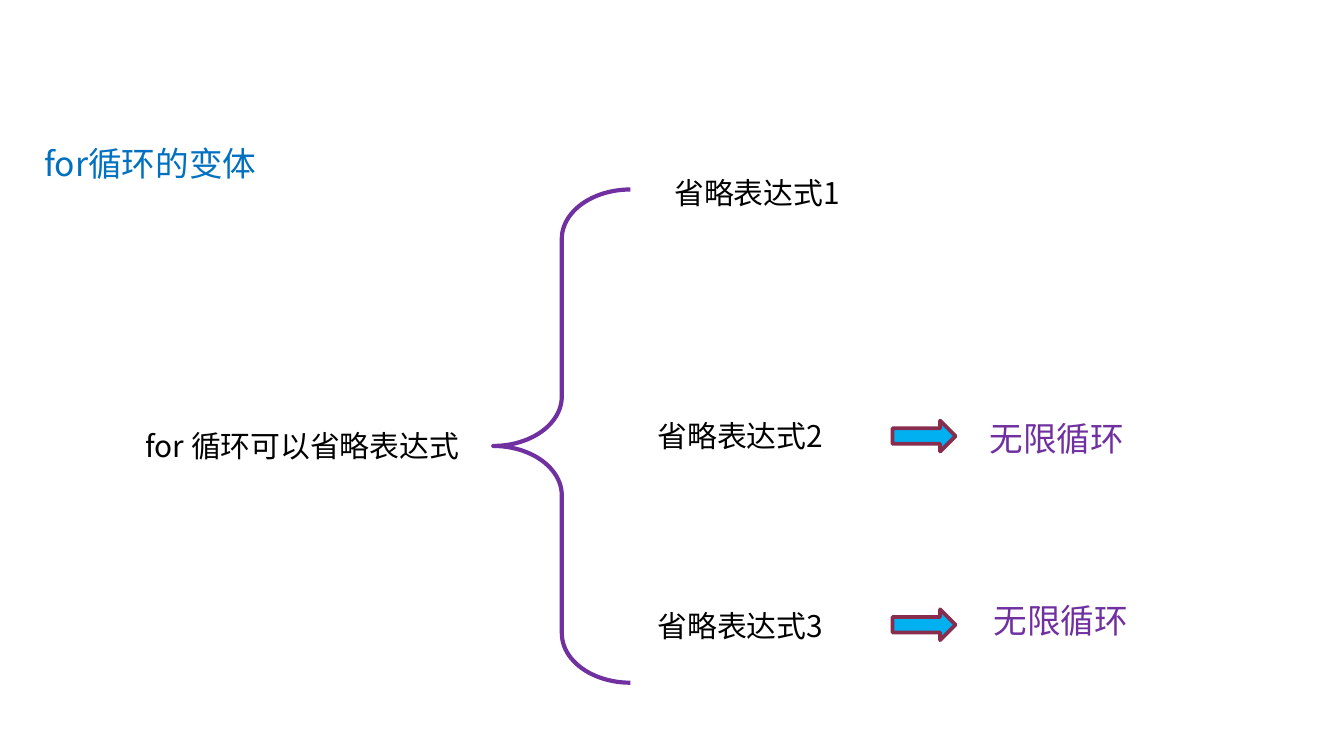
from lxml import etree
from pptx import Presentation
from pptx.dml.color import RGBColor
from pptx.enum.shapes import MSO_SHAPE
from pptx.enum.text import MSO_ANCHOR, MSO_AUTO_SIZE, PP_ALIGN
from pptx.oxml.ns import qn
from pptx.util import Inches, Pt

BRACE, ARROW = MSO_SHAPE.LEFT_BRACE, MSO_SHAPE.RIGHT_ARROW
TOP, LEFT, GROW = MSO_ANCHOR.TOP, PP_ALIGN.LEFT, MSO_AUTO_SIZE.SHAPE_TO_FIT_TEXT
FONT = "Noto Sans CJK SC"
PURPLE = "7030A0"

deck = Presentation()
deck.slide_width = Inches(10)
deck.slide_height = deck.slide_width * 9 // 16
col, row = deck.slide_width / 100, deck.slide_height / 100
slide = deck.slides.add_slide(deck.slide_layouts[5])
shapes = slide.shapes


def paint(part, color):
    if hasattr(part, "solid"):
        part.solid()
        part = part.fore_color
    part.rgb = RGBColor.from_string(color)


def write(text, x, y, wide, high=6.58, size=16, color="000000", box=None):
    area = int(x * col), int(y * row), int(wide * col), int(high * row)
    if box is None:
        box = shapes.add_textbox(*area)
    box.left, box.top, box.width, box.height = area
    frame = box.text_frame
    frame.word_wrap, frame.auto_size = True, GROW
    frame.vertical_anchor = TOP
    para = frame.paragraphs[0]
    para.alignment = LEFT
    run = para.add_run()
    run.text = text
    run.font.size, run.font.name = Pt(size), FONT
    paint(run.font.color, color)
    etree.SubElement(run.font._element, qn("a:ea")).set("typeface", FONT)


write("for循环的变体", 2.3, 18.05, 32.8, 7.11, size=18, color="0070C0", box=shapes.title)
write("for 循环可以省略表达式", 9.85, 55.64, 29.7)

brace = shapes.add_shape(BRACE, int(36.7 * col), int(25.07 * row), int(10.2 * col), int(65.24 * row))
brace.adjustments[0], brace.adjustments[1] = 0.36, 0.52
brace.shadow.inherit = False
brace.fill.background()
paint(brace.line.fill, PURPLE)
brace.line.width = Pt(2.25)

for num, (x, y) in enumerate([(49.2, 22.22), (47.95, 54.4), (47.95, 79.47)], 1):
    write(f"省略表达式{num}", x, y, 25)

for x, y, top in [(72.65, 54.4, 55.64), (72.95, 78.45, 80.6)]:
    arrow = shapes.add_shape(ARROW, int(66.4 * col), int(top * row), int(4.7 * col), int(4.09 * row))
    arrow.shadow.inherit = False
    paint(arrow.fill, "00B0F0")
    paint(arrow.line.fill, "882D4D")
    arrow.line.width = Pt(2)
    write("无限循环", x, y, 12.5, 7.11, size=18, color=PURPLE)

deck.save("out.pptx")
